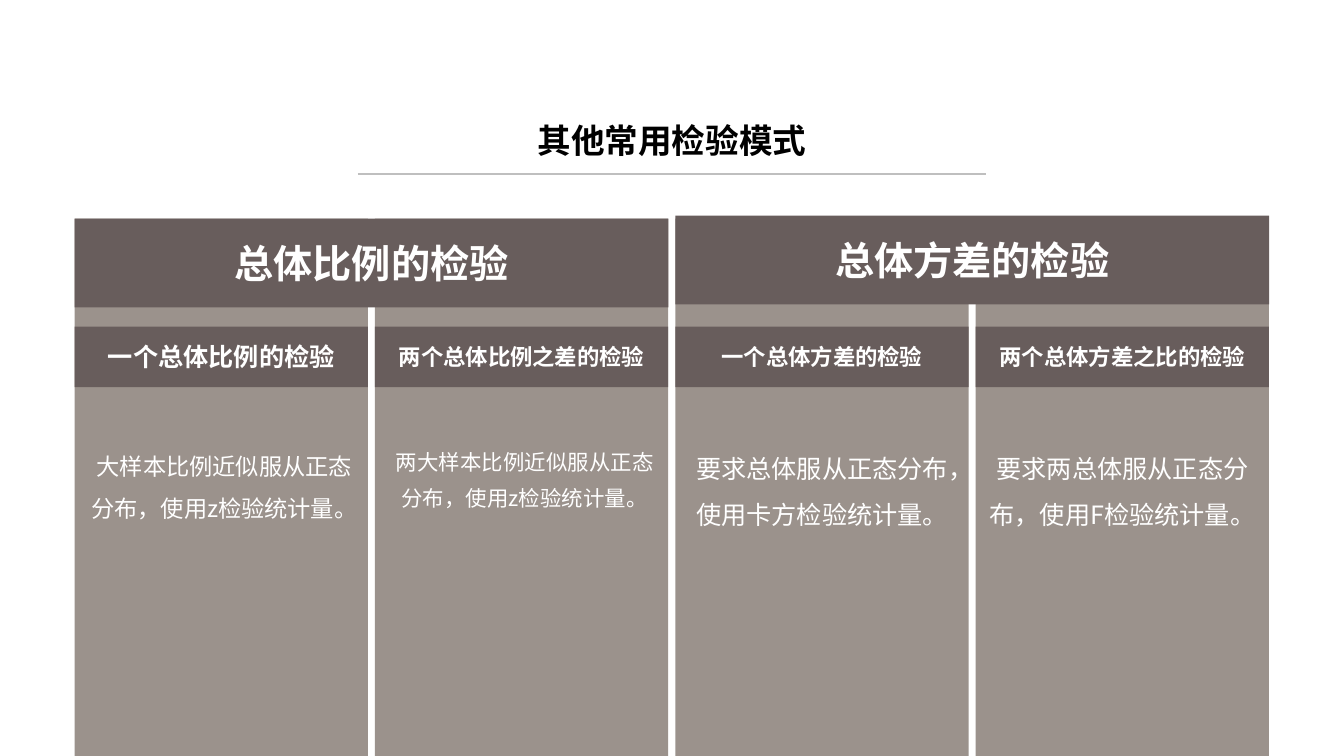
from lxml import etree
from pptx import Presentation
from pptx.dml.color import RGBColor
from pptx.enum.shapes import MSO_CONNECTOR, MSO_SHAPE
from pptx.enum.text import MSO_ANCHOR, PP_ALIGN
from pptx.oxml.ns import qn
from pptx.util import Pt

RECT = MSO_SHAPE.RECTANGLE
LINE = MSO_CONNECTOR.STRAIGHT
MIDDLE, TOP = MSO_ANCHOR.MIDDLE, MSO_ANCHOR.TOP
CENTER = PP_ALIGN.CENTER
FONT = "Noto Sans CJK SC"
HEX = {"panel": "9B928C", "band": "685D5C", "white": "FFFFFF",
       "black": "000000", "rule": "BFBFBF"}

# Column grid, in points
LEFT, PITCH, WIDE = 53.28, 214.56, 209.52
PANEL_TOP, PANEL_HIGH = 156.24, 383.76

# Group heading and top
GROUPS = [("总体比例的检验", 156.24), ("总体方差的检验", 154.08)]

# Heading, its size, body, its size, line spacing, body shift
COLUMNS = [
    ("一个总体比例的检验", 18,
     "大样本比例近似服从正态分布，使用z检验统计量。", 16.6, 1.5, 2.16),
    ("两个总体比例之差的检验", 16,
     "两大样本比例近似服从正态分布，使用z检验统计量。", 15.3, 1.4, 2.16),
    ("一个总体方差的检验", 16,
     "要求总体服从正态分布，使用卡方检验统计量。", 18, 1.5, 0),
    ("两个总体方差之比的检验", 16,
     "要求两总体服从正态分布，使用F检验统计量。", 18, 1.5, 0),
]


def color(name):
    return RGBColor.from_string(HEX[name])


def write(shape, text, size=16, bold=False, fill="white", anchor=MIDDLE,
          spacing=None):
    frame = shape.text_frame
    frame.word_wrap = True
    frame.vertical_anchor = anchor
    para = frame.paragraphs[0]
    para.alignment = CENTER
    if spacing:
        para.line_spacing = spacing
    run = para.add_run()
    run.text = text
    run.font.size = Pt(size)
    run.font.bold = bold
    run.font.color.rgb = color(fill)
    run.font.name = FONT
    # East Asian typeface
    props = run._r.get_or_add_rPr()
    props.set("lang", "zh-CN")
    etree.SubElement(props, qn("a:ea")).set("typeface", FONT)


def block(slide, x, y, w, h, fill):
    shape = slide.shapes.add_shape(RECT, Pt(x), Pt(y), Pt(w), Pt(h))
    shape.shadow.inherit = False
    shape.fill.solid()
    shape.fill.fore_color.rgb = color(fill)
    shape.line.fill.background()
    return shape


def label(slide, x, y, w, h, text, **style):
    box = slide.shapes.add_textbox(Pt(x), Pt(y), Pt(w), Pt(h))
    write(box, text, **style)


def rule(slide, x1, x2, y):
    line = slide.shapes.add_connector(LINE, Pt(x1), Pt(y), Pt(x2), Pt(y))
    line.line.color.rgb = color("rule")
    line.line.width = Pt(1.5)
    etree.SubElement(line._element.spPr, qn("a:effectLst"))


def column(slide, x, head, head_size, body, body_size, spacing, shift):
    block(slide, x, PANEL_TOP, WIDE, PANEL_HIGH, "panel")
    band = block(slide, x, 233.28, WIDE, 43.2, "band")
    write(band, head, size=head_size, bold=True)
    label(slide, x + shift, 309.6, WIDE, 69.12, body, size=body_size,
          anchor=TOP, spacing=spacing)


def main():
    deck = Presentation()
    deck.slide_width, deck.slide_height = Pt(960), Pt(540)
    slide = deck.slides.add_slide(deck.slide_layouts[6])

    # Title and its rule
    label(slide, 244.08, 74.88, 471.6, 49.68, "其他常用检验模式",
          size=24, bold=True, fill="black")
    rule(slide, 255.6, 704.16, 124.56)

    # Four test columns
    for i, item in enumerate(COLUMNS):
        column(slide, LEFT + i * PITCH, *item)

    # Group headings, each over two columns
    for i, (text, top) in enumerate(GROUPS):
        head = block(slide, LEFT + 2 * i * PITCH, top, PITCH + WIDE, 63.36,
                     "band")
        write(head, text, size=28, bold=True)

    deck.save("out.pptx")


if __name__ == "__main__":
    main()
